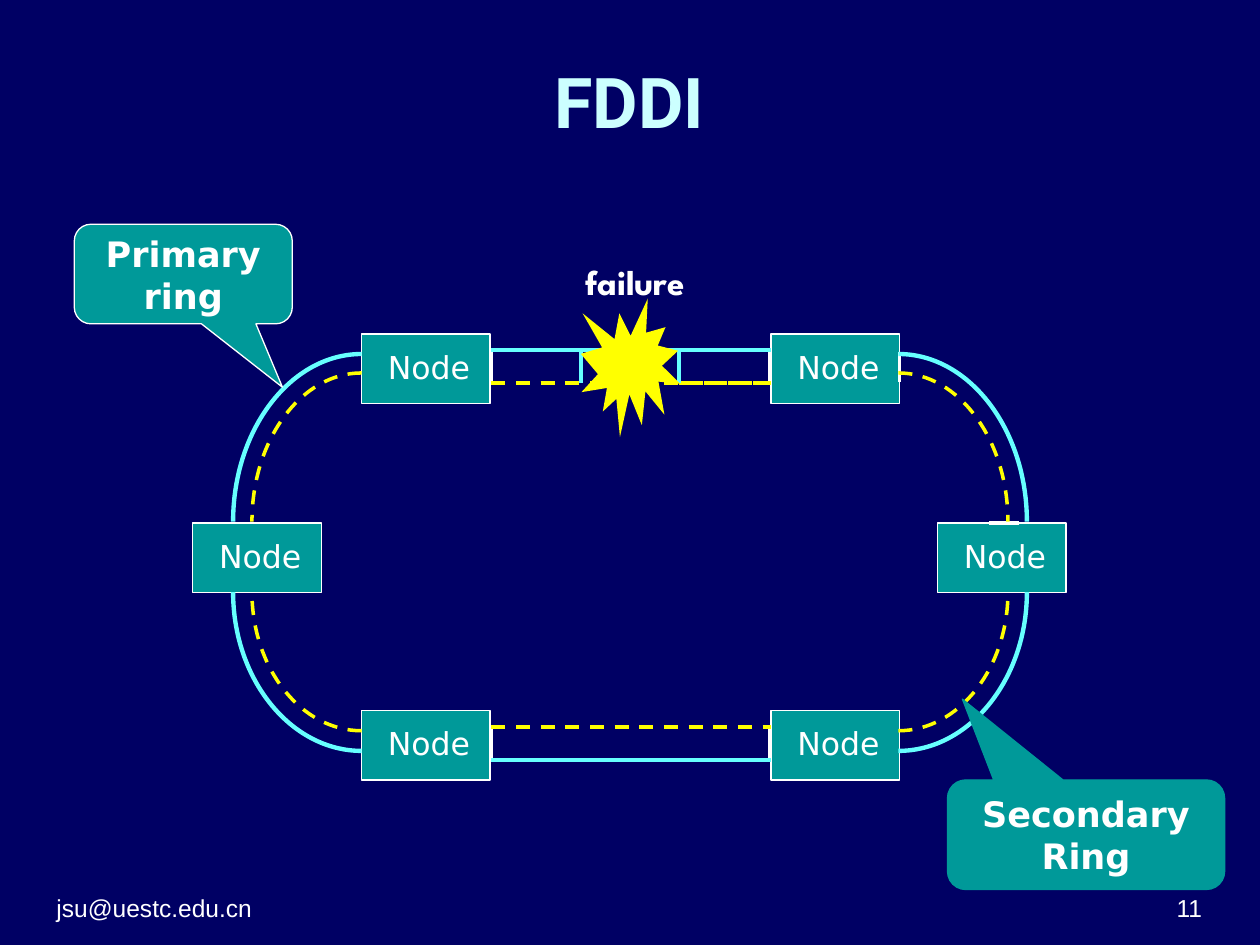
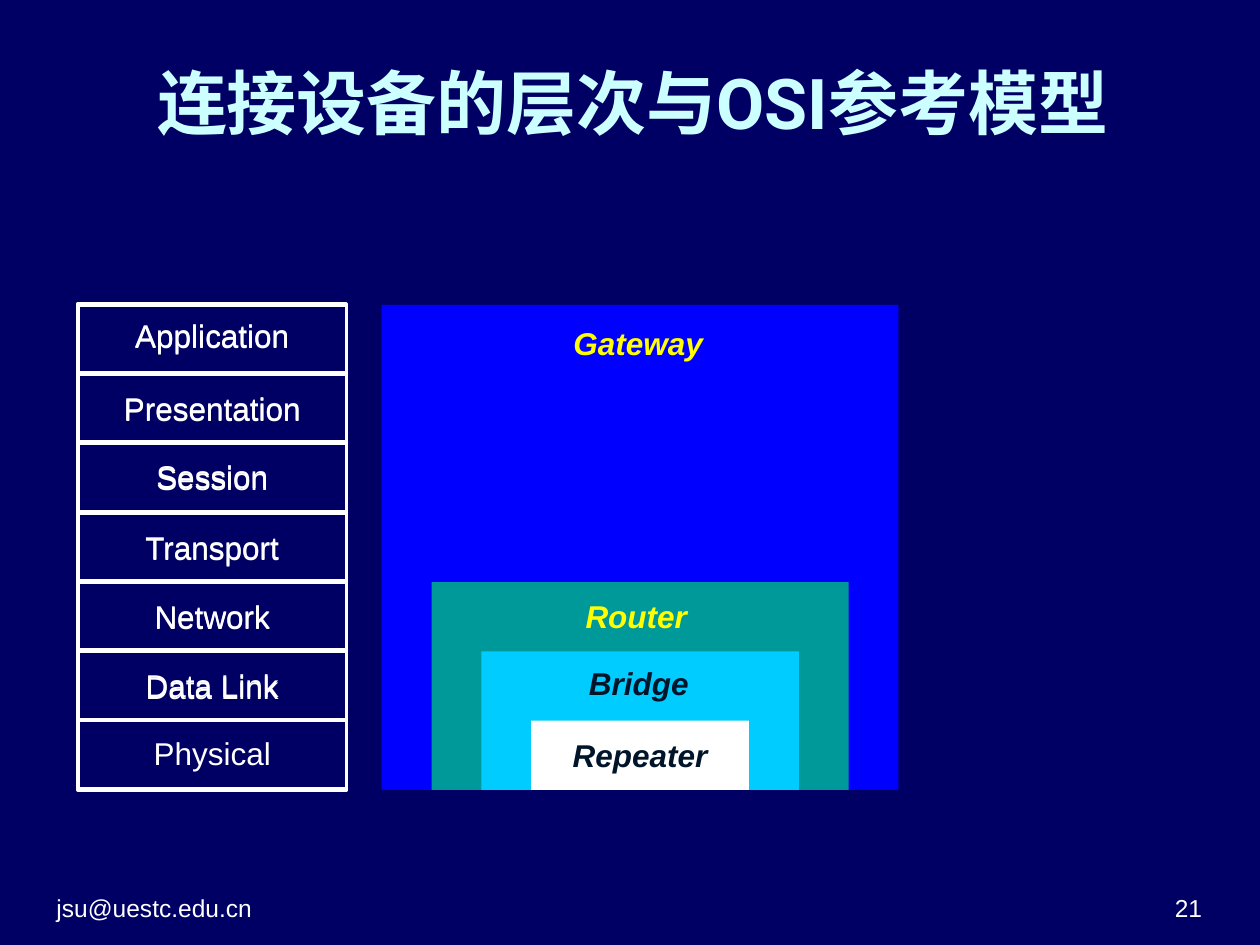
from dataclasses import dataclass

from lxml.etree import SubElement
from pptx import Presentation
from pptx.dml.color import RGBColor
from pptx.enum.dml import MSO_LINE
from pptx.enum.shapes import MSO_CONNECTOR, MSO_SHAPE
from pptx.enum.text import MSO_ANCHOR, MSO_AUTO_SIZE, PP_ALIGN
from pptx.oxml.ns import qn
from pptx.util import Inches, Pt

COLORS = {
    "background": "000064",
    "title": "CCFFFF",
    "text": "FFFFFF",
    "dark text": "00152A",
    "teal": "009999",
    "cyan": "66FFFF",
    "yellow": "FFFF00",
    "blue": "0000FF",
    "sky": "00CCFF",
    "white": "FFFFFF",
}
AUTHOR_EMAIL = "jsu@uestc.edu.cn"
TITLE_ONLY = 5
LABEL_HEIGHT = 0.4


@dataclass(frozen=True)
class TextStyle:
    font: str
    size: int
    color: str = "text"
    bold: bool = False
    italic: bool = False
    align: PP_ALIGN = PP_ALIGN.CENTER


@dataclass(frozen=True)
class Stroke:
    color: str
    width: float
    dashed: bool = False


@dataclass(frozen=True)
class Ring:
    """One FDDI ring: its straight runs, and the quarter curves at both ends."""
    stroke: Stroke
    straight_top: float
    straight_bottom: float
    curve_top: float
    curve_bottom: float
    reach: float


@dataclass(frozen=True)
class Callout:
    label: str
    box: tuple[float, float, float, float]
    pointer: tuple[float, float]
    outline: str


@dataclass(frozen=True)
class Layer:
    name: str
    label_top: float


@dataclass(frozen=True)
class Device:
    name: str
    layers: int
    fill: str
    text_color: str
    label_left: float
    label_top: float
    label_width: float


TITLE = TextStyle("Roboto", 40, "title", bold=True)
FOOTER = TextStyle("Arial", 14, align=PP_ALIGN.LEFT)
PAGE_NUMBER = TextStyle("Arial", 14, align=PP_ALIGN.RIGHT)
NODE_LABEL = TextStyle("DejaVu Sans", 18)
CALLOUT_LABEL = TextStyle("DejaVu Sans", 20, bold=True)
FAILURE_LABEL = TextStyle("League Spartan", 20, bold=True)
LAYER_LABEL = TextStyle("Arial", 18)

THIN_WHITE = Stroke("white", 0.75)
THICK_WHITE = Stroke("white", 2)

NODE_WIDTH, NODE_HEIGHT = 1.02, 0.55
NODES = [(2.87, 2.65), (6.12, 2.65), (2.87, 5.64),
         (6.12, 5.64), (1.53, 4.15), (7.44, 4.15)]
PORTS = [(3.9, 2.79, 3.9, 3.03), (7.14, 2.79, 7.14, 3.03),
         (6.11, 2.79, 6.11, 3.03), (3.9, 5.78, 3.9, 6.02),
         (6.11, 5.78, 6.11, 6.02), (8.09, 4.15, 7.85, 4.15)]
RINGS = [
    Ring(Stroke("cyan", 2.5), 2.78, 6.03, 2.81, 5.96, 1.02),
    Ring(Stroke("yellow", 2, dashed=True), 3.04, 5.77, 2.96, 5.8, 0.87),
]
RUN_LEFT, RUN_RIGHT = 3.9, 6.12
CURVE_ENDS = [(2.87, -1), (7.13, 1)]
SIDE_NODE_TOP, SIDE_NODE_BOTTOM = 4.14, 4.7
BREAK_LEFT, BREAK_RIGHT = 4.61, 5.39
QUARTER_ELLIPSE = 0.55  # Bézier handle as a share of the radius
CALLOUTS = [
    Callout("Primary ring", (0.59, 1.78, 1.73, 0.79), (0.455, 1.137), "white"),
    Callout("Secondary\nRing", (7.52, 6.19, 2.2, 0.87), (-0.446, -1.237), "teal"),
]

LAYERS = [Layer("Application", 2.46), Layer("Presentation", 3.04),
          Layer("Session", 3.58), Layer("Transport", 4.14),
          Layer("Network", 4.69), Layer("Data Link", 5.24),
          Layer("Physical", 5.78)]
STACK_LEFT, STACK_TOP, STACK_WIDTH, LAYER_HEIGHT = 0.62, 2.41, 2.13, 0.55
STACK_OFFSET = 0.01
DEVICES = [
    Device("Gateway", 7, "blue", "yellow", 4.28, 2.52, 1.57),
    Device("Router", 3, "teal", "yellow", 4.42, 4.69, 1.26),
    Device("Bridge", 2, "sky", "dark text", 4.36, 5.22, 1.42),
    Device("Repeater", 1, "white", "dark text", 4.37, 5.79, 1.42),
]
DEVICE_LEFT, DEVICE_BOTTOM, DEVICE_WIDTH, DEVICE_STEP = 3.03, 6.27, 4.1, 0.79


def rgb(name: str) -> RGBColor:
    return RGBColor.from_string(COLORS[name])


def write(frame, text: str, style: TextStyle, anchor=MSO_ANCHOR.MIDDLE) -> None:
    frame.text = text
    frame.word_wrap = True
    frame.auto_size = MSO_AUTO_SIZE.NONE
    frame.vertical_anchor = anchor
    for paragraph in frame.paragraphs:
        paragraph.alignment = style.align
        font = paragraph.font
        font.name, font.size = style.font, Pt(style.size)
        font.bold, font.italic = style.bold, style.italic
        font.color.rgb = rgb(style.color)


def apply_stroke(line, stroke: Stroke) -> None:
    line.color.rgb = rgb(stroke.color)
    line.width = Pt(stroke.width)
    if stroke.dashed:
        line.dash_style = MSO_LINE.DASH


def add_label(slide, box, text: str, style: TextStyle, anchor=MSO_ANCHOR.TOP) -> None:
    label = slide.shapes.add_textbox(*map(Inches, box))
    write(label.text_frame, text, style, anchor)


def add_block(slide, kind, box, fill: str | None = None, stroke: Stroke | None = None):
    """Add a preset shape; without a fill or a stroke that part stays empty."""
    block = slide.shapes.add_shape(kind, *map(Inches, box))
    block.shadow.inherit = False
    if fill:
        block.fill.solid()
        block.fill.fore_color.rgb = rgb(fill)
    else:
        block.fill.background()
    if stroke:
        apply_stroke(block.line, stroke)
    else:
        block.line.fill.background()
    return block


def add_line(slide, ends, stroke: Stroke) -> None:
    line = slide.shapes.add_connector(MSO_CONNECTOR.STRAIGHT, *map(Inches, ends))
    apply_stroke(line.line, stroke)
    SubElement(line.element.spPr, qn("a:effectLst"))


def add_quarter_curve(slide, start, end, stroke: Stroke) -> None:
    """Draw a quarter ellipse that leaves start level and reaches end upright."""
    (x0, y0), (x1, y1) = start, end
    builder = slide.shapes.build_freeform(Inches(x0), Inches(y0), scale=1.0)
    builder.add_line_segments([(Inches(x1), Inches(y1))], close=False)
    curve = builder.convert_to_shape()
    curve.shadow.inherit = False
    curve.fill.background()
    apply_stroke(curve.line, stroke)

    segment = next(curve.element.iter(qn("a:lnTo")))
    segment.tag = qn("a:cubicBezTo")
    segment.clear()
    handles = [(x0 + (x1 - x0) * QUARTER_ELLIPSE, y0),
               (x1, y1 + (y0 - y1) * QUARTER_ELLIPSE), end]
    for x, y in handles:
        SubElement(segment, qn("a:pt"), x=str(Inches(x) - curve.left),
                   y=str(Inches(y) - curve.top))


def start_slide(prs, title: str, title_box, number: int):
    """Add a slide with its title, the e-mail footer and the page number."""
    slide = prs.slides.add_slide(prs.slide_layouts[TITLE_ONLY])
    heading = slide.shapes.title
    heading.left, heading.top, heading.width, heading.height = map(Inches, title_box)
    write(heading.text_frame, title, TITLE)
    add_label(slide, (0.35, 6.9, 2.33, 0.47), AUTHOR_EMAIL, FOOTER, MSO_ANCHOR.BOTTOM)
    add_label(slide, (7.31, 6.9, 2.33, 0.47), str(number), PAGE_NUMBER, MSO_ANCHOR.BOTTOM)
    return slide


def add_ring(slide, ring: Ring) -> None:
    for y in (ring.straight_top, ring.straight_bottom):
        add_line(slide, (RUN_LEFT, y, RUN_RIGHT, y), ring.stroke)
    for x, direction in CURVE_ENDS:
        for y, node_edge in ((ring.curve_top, SIDE_NODE_TOP),
                             (ring.curve_bottom, SIDE_NODE_BOTTOM)):
            add_quarter_curve(slide, (x, y), (x + direction * ring.reach, node_edge),
                              ring.stroke)


def add_failure(slide) -> None:
    """Wrap both rings on each side of the break and mark it with a burst."""
    primary, secondary = RINGS
    for left, right, wrap in ((RUN_LEFT, BREAK_LEFT, BREAK_LEFT),
                              (BREAK_RIGHT, 6.1, BREAK_RIGHT)):
        for ring in RINGS:
            add_line(slide, (left, ring.straight_top, right, ring.straight_top), ring.stroke)
        add_line(slide, (wrap, primary.straight_top, wrap, secondary.straight_top),
                 primary.stroke)
    add_block(slide, MSO_SHAPE.EXPLOSION1, (4.61, 2.37, 0.79, 1.1), "yellow")
    add_label(slide, (4.37, 2.02, 1.34, 0.44), "failure", FAILURE_LABEL)


def build_fddi(prs) -> None:
    slide = start_slide(prs, "FDDI", (0.35, 0.13, 9.29, 1.34), 11)
    for left, top in NODES:
        add_block(slide, MSO_SHAPE.RECTANGLE,
                  (left, top, NODE_WIDTH, NODE_HEIGHT), "teal", THIN_WHITE)
        add_label(slide, (left + 0.1, top + 0.06, 0.87, LABEL_HEIGHT), "Node", NODE_LABEL)
    for ends in PORTS:
        add_line(slide, ends, THICK_WHITE)
    for ring in RINGS:
        add_ring(slide, ring)
    for callout in CALLOUTS:
        bubble = add_block(slide, MSO_SHAPE.ROUNDED_RECTANGULAR_CALLOUT, callout.box,
                           "teal", Stroke(callout.outline, 0.75))
        bubble.adjustments[0], bubble.adjustments[1] = callout.pointer
        write(bubble.text_frame, callout.label, CALLOUT_LABEL)
    add_failure(slide)


def add_layer_stack(slide, offset: float, labelled: list[Layer]) -> None:
    for row in range(len(LAYERS)):
        top = STACK_TOP + offset + row * LAYER_HEIGHT
        add_block(slide, MSO_SHAPE.RECTANGLE,
                  (STACK_LEFT, top, STACK_WIDTH, LAYER_HEIGHT), stroke=THICK_WHITE)
    for layer in labelled:
        add_label(slide, (STACK_LEFT, layer.label_top + offset, STACK_WIDTH, LABEL_HEIGHT),
                  layer.name, LAYER_LABEL)


def build_osi_devices(prs) -> None:
    slide = start_slide(prs, "连接设备的层次与OSI参考模型", (0.98, 0.28, 8.08, 1.05), 21)
    add_layer_stack(slide, STACK_OFFSET, LAYERS[:-1])
    add_layer_stack(slide, 0, LAYERS)
    for depth, device in enumerate(DEVICES):
        height = device.layers * LAYER_HEIGHT
        add_block(slide, MSO_SHAPE.RECTANGLE,
                  (DEVICE_LEFT + depth * DEVICE_STEP / 2, DEVICE_BOTTOM - height,
                   DEVICE_WIDTH - depth * DEVICE_STEP, height), device.fill)
        style = TextStyle("Arial", 18, device.text_color, bold=True, italic=True)
        add_label(slide, (device.label_left, device.label_top, device.label_width,
                          LABEL_HEIGHT), device.name, style)


def main() -> None:
    prs = Presentation()
    prs.slide_width, prs.slide_height = Inches(10), Inches(7.5)
    backdrop = prs.slide_master.background.fill
    backdrop.solid()
    backdrop.fore_color.rgb = rgb("background")
    build_fddi(prs)
    build_osi_devices(prs)
    prs.save("out.pptx")


if __name__ == "__main__":
    main()
